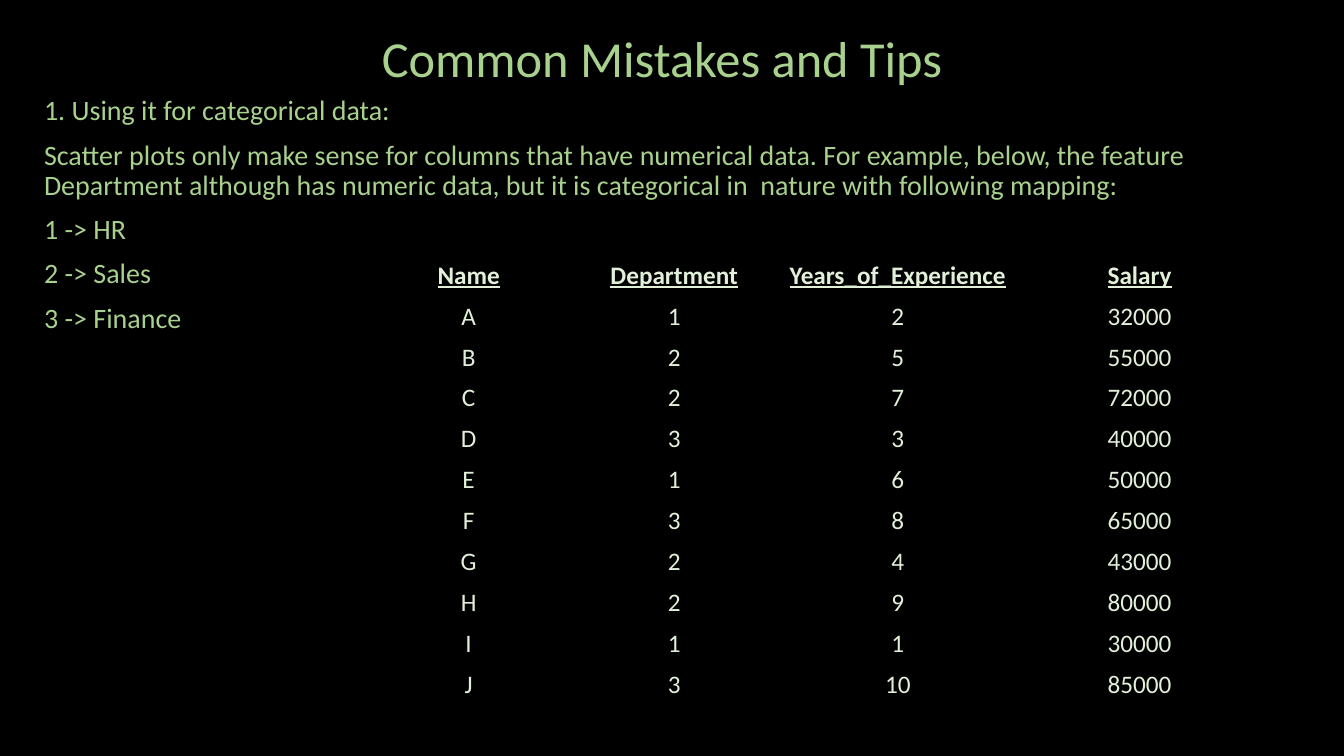
from pptx import Presentation, util as u
from pptx.dml.color import RGBColor
from pptx.enum import text
from pptx.oxml.ns import qn

BLACK = RGBColor(0x00, 0x00, 0x00)
GREEN = RGBColor(0xA9, 0xD1, 0x8E)
PALE_GREEN = RGBColor(0xE2, 0xF0, 0xD9)
NO_STYLE_NO_GRID = "{2D5ABB26-0587-4C30-8999-92F81FD0307C}"

TITLE = "Common Mistakes and Tips"
TIPS = [
    "1. Using it for categorical data:",
    "Scatter plots only make sense for columns that have numerical data. "
    "For example, below, the feature Department although has numeric data, "
    "but it is categorical in  nature with following mapping:",
    "1 -> HR",
    "2 -> Sales",
    "3 -> Finance",
]
EMPLOYEES = [
    ("Name", "Department", "Years_of_Experience", "Salary"),
    ("A", 1, 2, 32000),
    ("B", 2, 5, 55000),
    ("C", 2, 7, 72000),
    ("D", 3, 3, 40000),
    ("E", 1, 6, 50000),
    ("F", 3, 8, 65000),
    ("G", 2, 4, 43000),
    ("H", 2, 9, 80000),
    ("I", 1, 1, 30000),
    ("J", 3, 10, 85000),
]


class SlideBuilder:
    """Holds the text style and the current slide."""

    font_name = "Calibri"
    line_spacing = 0.9

    def __init__(self, presentation):
        self.slide = presentation.slides.add_slide(presentation.slide_layouts[5])
        background = self.slide.background.fill
        background.solid()
        background.fore_color.rgb = BLACK

    def style(self, paragraph, size, color, bold=False, underline=False):
        font = paragraph.font
        font.name = self.font_name
        font.size = u.Pt(size)
        font.color.rgb = color
        font.bold = bold
        font.underline = underline

    def title(self, words, left, top, width, height):
        shape = self.slide.shapes.title
        shape.left, shape.top = u.Cm(left), u.Cm(top)
        shape.width, shape.height = u.Cm(width), u.Cm(height)
        frame = shape.text_frame
        frame.text = words
        frame.vertical_anchor = text.MSO_ANCHOR.MIDDLE
        paragraph = frame.paragraphs[0]
        paragraph.alignment = text.PP_ALIGN.CENTER
        paragraph.line_spacing = self.line_spacing
        self.style(paragraph, 36, GREEN)

    def body(self, lines, left, top, width, height):
        shape = self.slide.shapes.add_textbox(
            u.Cm(left), u.Cm(top), u.Cm(width), u.Cm(height))
        frame = shape.text_frame
        frame.word_wrap = True
        frame.text = "\n".join(lines)
        for index, paragraph in enumerate(frame.paragraphs):
            paragraph.line_spacing = self.line_spacing
            paragraph.space_before = u.Pt(10 if index else 0)
            self.style(paragraph, 20, GREEN)

    def table(self, rows, left, top, column_widths, row_height):
        table = self.slide.shapes.add_table(
            len(rows), len(column_widths), u.Cm(left), u.Cm(top),
            u.Cm(sum(column_widths)), u.Cm(row_height * len(rows))).table
        table.horz_banding = False
        table._tbl.tblPr.find(qn("a:tableStyleId")).text = NO_STYLE_NO_GRID
        for column, width in zip(table.columns, column_widths):
            column.width = u.Cm(width)
        for row_index, values in enumerate(rows):
            table.rows[row_index].height = u.Cm(row_height)
            is_header = row_index == 0
            for column_index, value in enumerate(values):
                cell = table.cell(row_index, column_index)
                cell.text = str(value)
                cell.fill.background()
                cell.vertical_anchor = text.MSO_ANCHOR.MIDDLE
                paragraph = cell.text_frame.paragraphs[0]
                paragraph.alignment = text.PP_ALIGN.CENTER
                self.style(paragraph, 18, PALE_GREEN, is_header, is_header)


def main():
    presentation = Presentation()
    presentation.slide_width = u.Cm(33.87)
    presentation.slide_height = u.Cm(19.05)

    builder = SlideBuilder(presentation)
    # Heading and explanation
    builder.title(TITLE, 0.76, 0.38, 31.85, 2.31)
    builder.body(TIPS, 0.86, 2.31, 30.76, 10.64)
    # Employee data with the categorical Department column
    builder.table(EMPLOYEES, 8.99, 6.43, (5.64, 4.72, 6.55, 5.64), 1.03)

    presentation.save("out.pptx")


if __name__ == "__main__":
    main()
